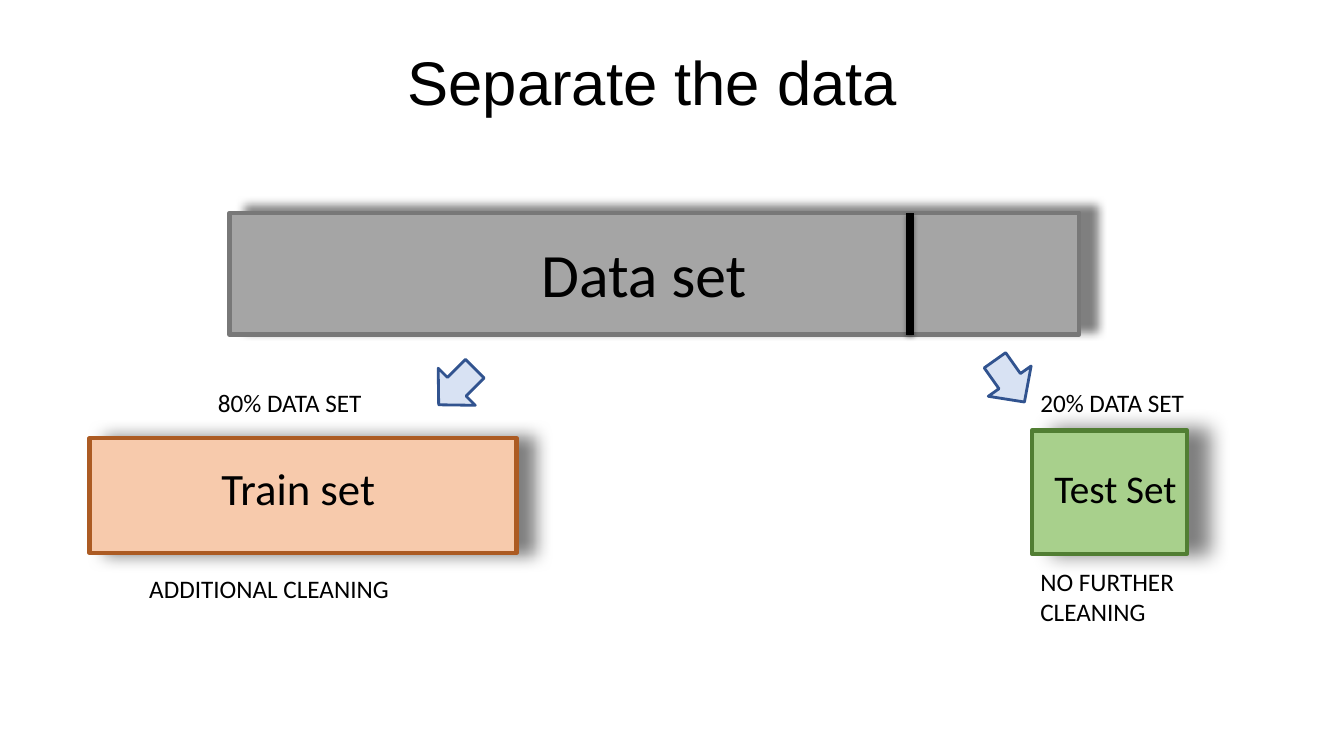
from lxml import etree
from pptx import Presentation
from pptx.dml.color import RGBColor
from pptx.enum.shapes import MSO_CONNECTOR, MSO_SHAPE
from pptx.enum.text import MSO_ANCHOR, PP_ALIGN
from pptx.oxml.ns import qn
from pptx.util import Pt

RECT, ARROW = MSO_SHAPE.RECTANGLE, MSO_SHAPE.DOWN_ARROW
STRAIGHT = MSO_CONNECTOR.STRAIGHT
LEFT, CENTER, TOP = PP_ALIGN.LEFT, PP_ALIGN.CENTER, MSO_ANCHOR.TOP

COLORS = {
    "black": "000000",
    "gray": "A5A5A5", "gray_edge": "787878",
    "orange": "F7CAAC", "orange_edge": "AC5B23",
    "green": "A8D08C", "green_edge": "517E33",
    "blue": "D8E2F3", "blue_edge": "31538F",
}

# Content: boxes are (left, top, width, height) in points
# Shadows are (opacity %, blur pt, distance pt, direction degrees)
BARS = [
    ((164, 152, 607, 87), "gray", (50, 6.8, 12, 342)),
    ((64, 313, 305, 82), "orange", (50, 12.4, 12, 359)),
    ((737, 307.5, 111, 88), "green", (50, 14.6, 15, 359)),
]
SPLIT_X, SPLIT_SHADOW = 650, (35, 3.1, 1.8, 90)
ARROWS = [((307.5, 258), 45), ((702.5, 254), 324.7)]
ARROW_SIZE = (37.5, 36.5)
TEXTS = [
    ("Separate the data", (284, 24.5, 367, 80), 44, "Arial", LEFT, 7.2),
    ("Data set", (379.5, 165, 271, 60), 44, "Calibri", LEFT, 3.6),
    ("Train set", (151, 322, 181, 49), 32, "Calibri", LEFT, 7.2),
    ("Test Set", (711.5, 324.5, 170.5, 60), 28, "Calibri", CENTER, 7.2),
    ("80% DATA SET", (148.5, 269.5, 118, 39), 18, "Calibri", LEFT, 7.2),
    ("20% DATA SET", (736, 269.5, 121, 43), 18, "Calibri", LEFT, 7.2),
    ("NO FURTHER CLEANING", (736, 397, 184, 35), 18, "Calibri", LEFT, 7.2),
    ("ADDITIONAL CLEANING", (99.5, 402, 253.5, 39), 18, "Calibri", LEFT, 7.2),
]


def points(values):
    return [Pt(v) for v in values]


def rgb(name):
    return RGBColor.from_string(COLORS[name])


def set_line(shape, color, width):
    shape.line.color.rgb = rgb(color)
    shape.line.width = Pt(width)


def add_shadow(shape, opacity, blur, distance, direction):
    props = shape._element.spPr
    for old in props.findall(qn("a:effectLst")):
        props.remove(old)
    effects = etree.SubElement(props, qn("a:effectLst"))
    outer = etree.SubElement(effects, qn("a:outerShdw"), {
        "blurRad": str(Pt(blur)), "dist": str(Pt(distance)),
        "dir": str(direction * 60000), "algn": "ctr", "rotWithShape": "0"})
    color = etree.SubElement(outer, qn("a:srgbClr"), val=COLORS["black"])
    etree.SubElement(color, qn("a:alpha"), val=str(opacity * 1000))


def add_filled(s, kind, box, color, width):
    shape = s.shapes.add_shape(kind, *points(box))
    shape.shadow.inherit = False
    shape.fill.solid()
    shape.fill.fore_color.rgb = rgb(color)
    set_line(shape, color + "_edge", width)
    return shape


def add_text(s, text, box, size, font, align, inset_y):
    tf = s.shapes.add_textbox(*points(box)).text_frame
    frame = {"word_wrap": True, "vertical_anchor": TOP,
             "margin_left": Pt(7.2), "margin_right": Pt(7.2),
             "margin_top": Pt(inset_y), "margin_bottom": Pt(inset_y)}
    for name, value in frame.items():
        setattr(tf, name, value)
    p = tf.paragraphs[0]
    p.alignment = align
    r = p.add_run()
    r.text = text
    for name, value in {"size": Pt(size), "name": font}.items():
        setattr(r.font, name, value)
    r.font.color.rgb = rgb("black")


def main():
    prs = Presentation()
    prs.slide_width, prs.slide_height = Pt(960), Pt(540)
    s = prs.slides.add_slide(prs.slide_layouts[6])

    # Data, train and test bars
    for box, color, shadow in BARS:
        add_shadow(add_filled(s, RECT, box, color, 3), *shadow)

    # Split line across the data bar
    _, top, _, height = BARS[0][0]
    split = s.shapes.add_connector(
        STRAIGHT, *points((SPLIT_X, top, SPLIT_X, top + height)))
    set_line(split, "black", 6)
    add_shadow(split, *SPLIT_SHADOW)

    # Arrows to the two parts
    for place, angle in ARROWS:
        add_filled(s, ARROW, place + ARROW_SIZE, "blue", 2).rotation = angle

    # Title and labels
    for item in TEXTS:
        add_text(s, *item)

    prs.save("out.pptx")


if __name__ == "__main__":
    main()
